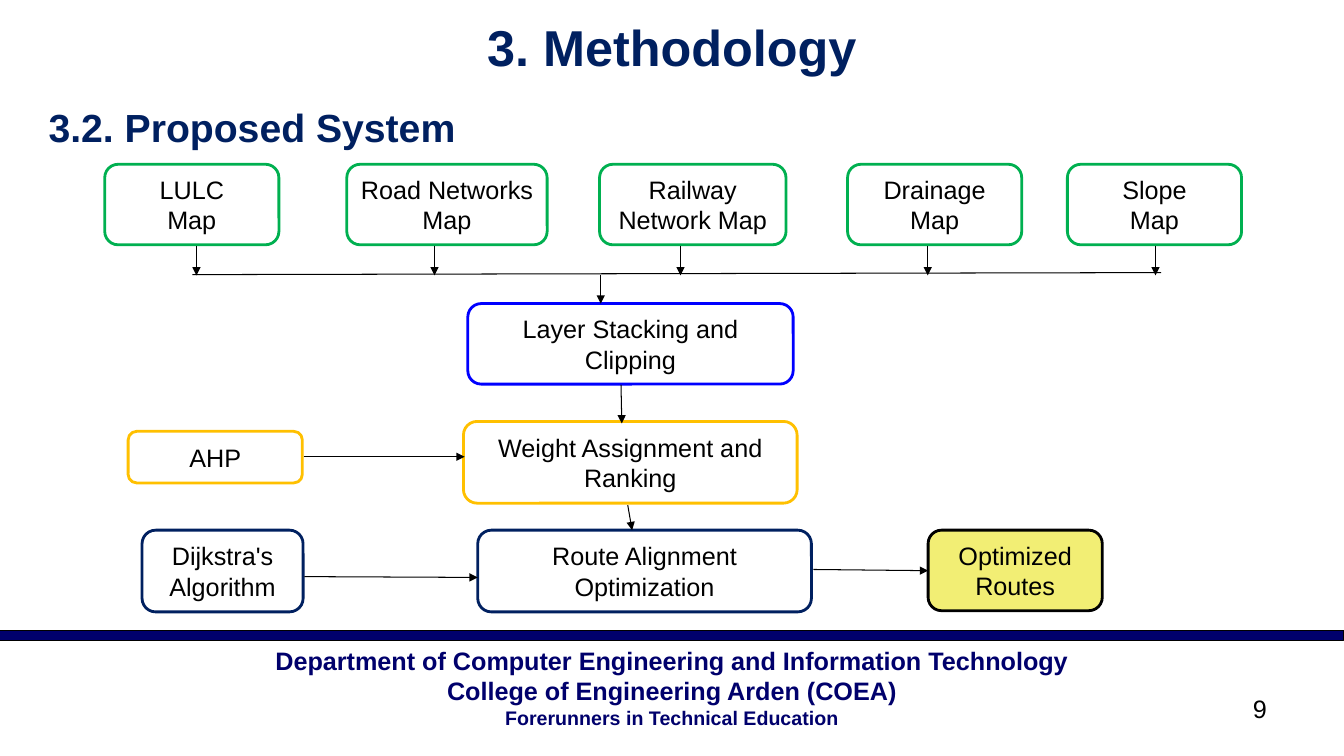
from dataclasses import dataclass

from lxml import etree
from pptx import Presentation
from pptx.dml.color import RGBColor
from pptx.enum import shapes, text
from pptx.oxml import ns
from pptx.util import Cm, Pt


@dataclass(frozen=True)
class Theme:
    font: str = "Arial"
    navy: str = "002060"
    footer: str = "00006C"
    black: str = "000000"
    white: str = "FFFFFF"
    green: str = "00B050"
    blue: str = "0000FF"
    amber: str = "FFC000"
    yellow: str = "F2EE74"
    title: int = 36
    heading: int = 28
    body: int = 18
    small: int = 14
    outline: float = 2
    thin: float = 0.75


T = Theme()
CENTER, LEFT, RIGHT = (text.PP_ALIGN.CENTER, text.PP_ALIGN.LEFT,
                       text.PP_ALIGN.RIGHT)


def rgb(value):
    return RGBColor.from_string(value)


def write(sp, lines, color=T.black, align=CENTER, bold=False,
          anchor=text.MSO_ANCHOR.MIDDLE):
    """Fill a shape with (words, size) lines, one paragraph each."""
    tf = sp.text_frame
    tf.word_wrap = True
    tf.auto_size = text.MSO_AUTO_SIZE.NONE
    tf.vertical_anchor = anchor
    for i, (words, size) in enumerate(lines):
        p = tf.paragraphs[0] if i == 0 else tf.add_paragraph()
        p.alignment = align
        p.space_before = Pt(0)
        r = p.add_run()
        r.text = words
        r.font.name, r.font.size, r.font.bold = T.font, Pt(size), bold
        r.font.color.rgb = rgb(color)


def shape(s, kind, box, fill, line, width):
    sp = s.shapes.add_shape(kind, *map(Cm, box))
    sp.shadow.inherit = False
    sp.fill.solid()
    sp.fill.fore_color.rgb = rgb(fill)
    sp.line.color.rgb = rgb(line)
    sp.line.width = Pt(width)
    return sp


def node(s, box, words, line, fill=T.white):
    sp = shape(s, shapes.MSO_SHAPE.ROUNDED_RECTANGLE, box, fill, line, T.outline)
    write(sp, [(w, T.body) for w in words.split("\n")])


def connect(s, x1, y1, x2, y2, arrow=True):
    c = s.shapes.add_connector(shapes.MSO_CONNECTOR.STRAIGHT,
                               Cm(x1), Cm(y1), Cm(x2), Cm(y2))
    c.line.color.rgb = rgb(T.black)
    c.line.width = Pt(T.thin)
    if arrow:
        etree.SubElement(c.line._get_or_add_ln(), ns.qn("a:tailEnd"),
                         type="triangle")
    etree.SubElement(c._element.spPr, ns.qn("a:effectLst"))


def place(sp, box):
    sp.left, sp.top, sp.width, sp.height = map(Cm, box)


def headings(s, box):
    x, y, w, h = box
    title, body = s.placeholders[0], s.placeholders[1]
    place(title, (x, y, w, h))
    write(title, [("3. Methodology", T.title)], T.navy, bold=True)
    place(body, (x + 0.97, y + 2.03, w - 1.92, h))
    write(body, [("3.2. Proposed System", T.heading)], T.navy, LEFT, True)
    # Heading without bullet or hanging indent
    pPr = body.text_frame.paragraphs[0]._p.get_or_add_pPr()
    pPr.set("marL", "0")
    pPr.set("indent", "0")
    etree.SubElement(pPr, ns.qn("a:buNone"))


def map_layers(s, box):
    """Input maps that drop onto one collecting line."""
    x, y, w, h = box
    # label, left, width, arrow position within the box
    maps = [("LULC\nMap", 0, 4.39, 2.31),
            ("Road Networks Map", 6.1, 5.05, 2.21),
            ("Railway Network Map", 12.47, 4.7, 2.04),
            ("Drainage Map", 18.72, 4.39, 2.02),
            ("Slope\nMap", 24.26, 4.39, 2.22)]
    for label, left, width, drop in maps:
        node(s, (x + left, y, width, 2.03), label, T.green)
        connect(s, x + left + drop, y + 2.05, x + left + drop, y + h)
    connect(s, x + 2.21, y + h - 0.02, x + w - 2.03, y + h - 0.07, arrow=False)


def process(s, box):
    """Main steps with their methods on the left and the result on the right."""
    x, y, w, h = box
    route = y + 5.71
    steps = [((x + 8.56, y, 8.2, 2.03), "Layer Stacking and Clipping", T.blue),
             ((x + 8.45, y + 2.97, 8.41, 2.06),
              "Weight Assignment and Ranking", T.amber),
             ((x + 8.81, route, 8.41, 2.06),
              "Route Alignment Optimization", T.navy),
             ((x, y + 3.22, 4.39, 1.3), "AHP", T.amber),
             ((x + 0.35, route, 4.06, 2.06), "Dijkstra's Algorithm", T.navy)]
    for step in steps:
        node(s, *step)
    node(s, (x + w - 4.39, route, 4.39, 2.03), "Optimized Routes",
         T.black, T.yellow)
    arrows = [(11.91, -0.72, 11.91, 0), (12.42, 2.05, 12.44, 3.02),
              (12.59, 5.08, 12.7, 5.71), (4.42, 3.86, 8.48, 3.86),
              (4.44, 6.88, 8.81, 6.9), (17.27, 6.7, 20.16, 6.73)]
    for x1, y1, x2, y2 in arrows:
        connect(s, x + x1, y + y1, x + x2, y + y2)


def footer(s, box):
    x, y, w, h = box
    shape(s, shapes.MSO_SHAPE.RECTANGLE, (x, y, w, 0.26),
          T.footer, T.black, T.thin)
    top = text.MSO_ANCHOR.TOP
    sp = s.shapes.add_textbox(*map(Cm, (x, y + 0.26, w, h - 0.26)))
    write(sp, [("Department of Computer Engineering and Information Technology",
                T.body),
               ("College of Engineering Arden (COEA)", T.body),
               ("Forerunners in Technical Education", T.small)],
          T.footer, bold=True, anchor=top)
    # Page number
    sp = s.shapes.add_textbox(*map(Cm, (x + w - 9.03, y + 1.47, 7.34, 1.32)))
    write(sp, [("9", T.body)], align=RIGHT, anchor=top)


def main():
    prs = Presentation()
    prs.slide_width, prs.slide_height = Cm(33.87), Cm(19.05)
    s = prs.slides.add_slide(prs.slide_layouts[1])
    footer(s, (0, 15.88, 33.87, 3.17))
    headings(s, (0, 0, 33.87, 2.34))
    map_layers(s, (2.64, 4.14, 28.65, 2.8))
    process(s, (3.23, 7.65, 24.55, 7.77))
    prs.save("out.pptx")


if __name__ == "__main__":
    main()
